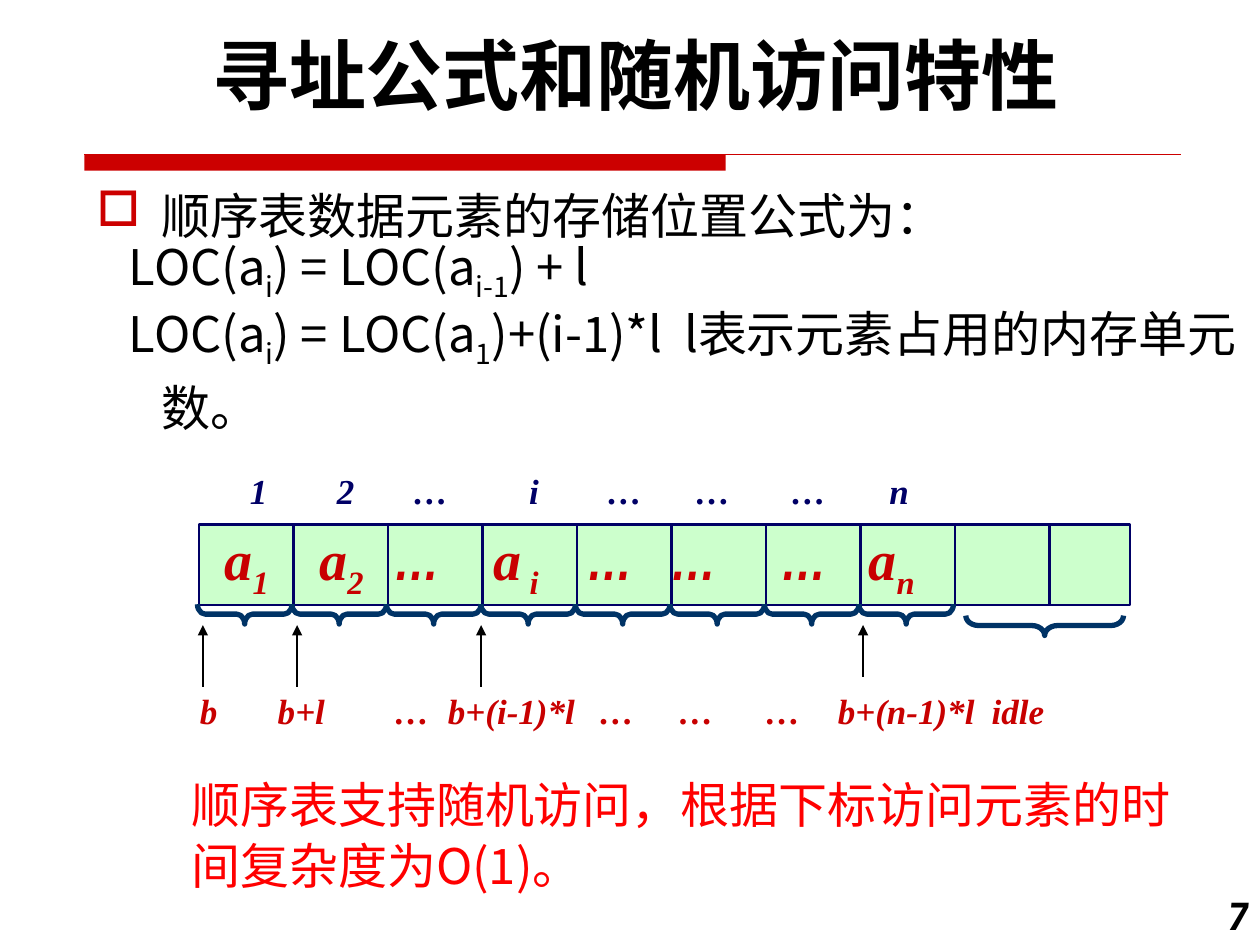
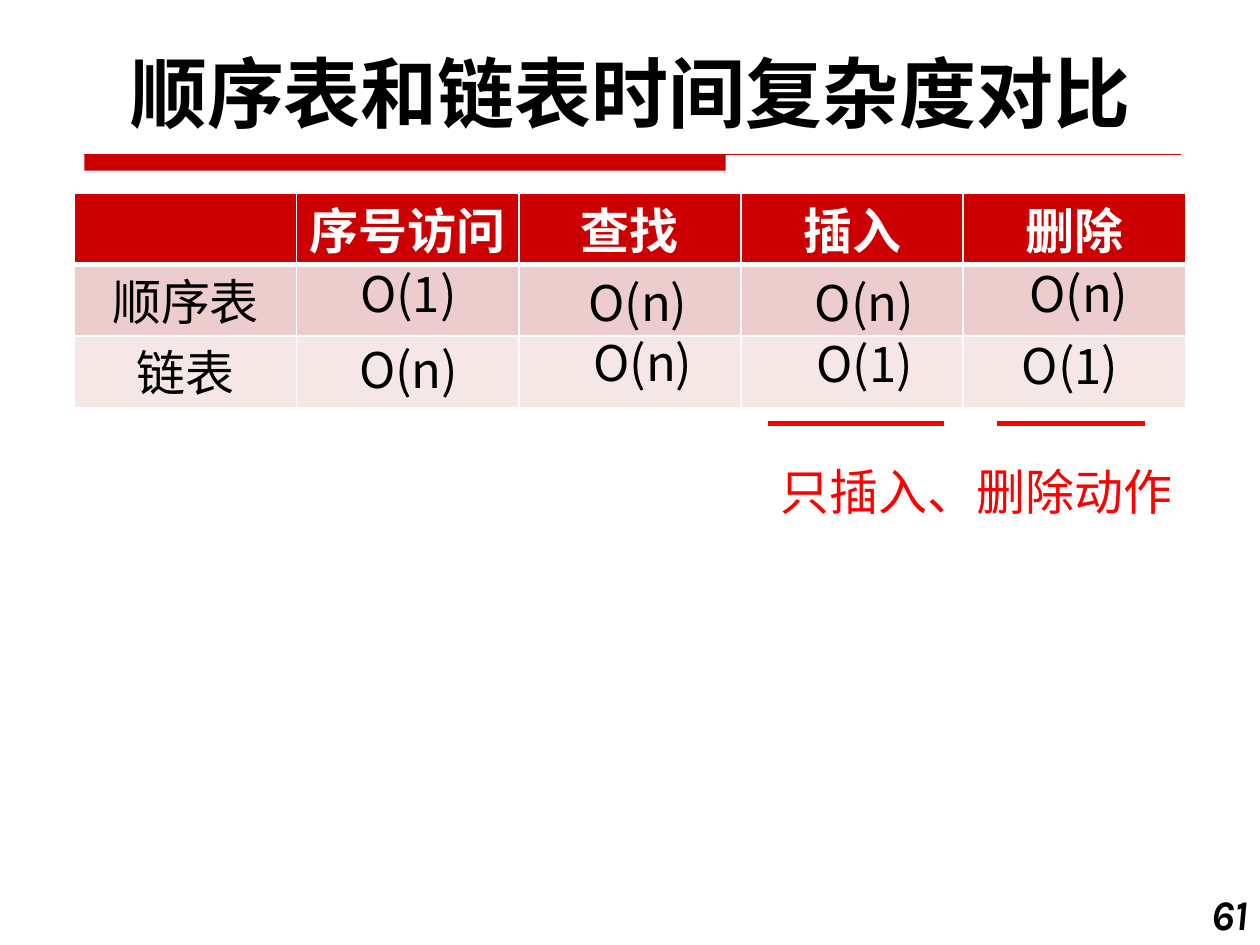
from dataclasses import dataclass

from lxml import etree
from pptx import Presentation
from pptx.dml.color import RGBColor
from pptx.enum.shapes import MSO_CONNECTOR, MSO_SHAPE
from pptx.enum.text import MSO_ANCHOR, PP_ALIGN
from pptx.oxml.ns import qn
from pptx.util import Cm, Pt

LEFT, MID, RIGHT = PP_ALIGN.LEFT, PP_ALIGN.CENTER, PP_ALIGN.RIGHT
TOP, CENTRE = MSO_ANCHOR.TOP, MSO_ANCHOR.MIDDLE
RECT, BRACE = MSO_SHAPE.RECTANGLE, MSO_SHAPE.LEFT_BRACE
STRAIGHT = MSO_CONNECTOR.STRAIGHT


@dataclass(frozen=True)
class Theme:
    black: str = "000000"
    white: str = "FFFFFF"
    band: str = "CC0000"
    red: str = "FF0000"
    deep: str = "C80000"
    navy: str = "000066"
    blue: str = "003366"
    mint: str = "CCFFCC"
    rows: tuple = ("CC0000", "ECCCCC", "F6E7E7")
    head: str = "Karla"
    body: str = "Noto Sans CJK SC"
    serif: str = "Times New Roman"
    narrow: str = "Arial Narrow"
    title: int = 44
    cell: int = 32
    main: int = 28
    page: int = 24
    label: int = 20


T = Theme()
TITLE = dict(name=T.head, size=T.title, color=T.black, bold=True)
PAGE = dict(name=T.head, size=T.page, color=T.black, bold=True, italic=True)
BODY = dict(name=T.body, size=T.main, color=T.black)
NOTE = dict(BODY, color=T.red)
INDEX = dict(name=T.serif, size=T.label, color=T.navy, bold=True, italic=True)
PLACE = dict(INDEX, color=T.deep)
ITEM = dict(PLACE, size=T.cell)
DOTS = dict(ITEM, name=T.narrow, color=T.band)
GRID = dict(name=T.serif, size=T.main, color=T.black)
HEAD = dict(GRID, color=T.white, bold=True)


def rgb(code):
    return RGBColor.from_string(code)


def node(parent, tag, **attrs):
    return etree.SubElement(parent, qn(tag), attrs)


class Deck:
    def __init__(self):
        self.prs = Presentation()
        self.prs.slide_width, self.prs.slide_height = Cm(25.4), Cm(19.05)
        self.slide = None

    # Frame shared by the slides
    def page(self, title, number, left, top):
        self.slide = self.prs.slides.add_slide(self.prs.slide_layouts[6])
        self.shape(RECT, (1.7, 3.12, 12.93, 0.32), fill=T.band)
        self.line((1.7, 3.12), (23.8, 3.12), T.band, 0.75)
        self.text((23.7, 17.78, 1.7, 1.27), [number], PAGE, RIGHT)
        self.text((left, top, 23.5, 2.13), [title], TITLE, MID, anchor=CENTRE)

    # Runs: text between underscores is lowered
    def runs(self, para, marked, style):
        for i, part in enumerate(marked.split("_")):
            if not part:
                continue
            run = para.add_run()
            run.text = part
            for key, val in style.items():
                if key == "color":
                    run.font.color.rgb = rgb(val)
                elif key == "size":
                    run.font.size = Pt(val)
                elif key != "gap":
                    setattr(run.font, key, val)
            props = run.font._element
            if "gap" in style:
                props.set("spc", str(style["gap"] * 100))
            if i % 2:
                props.set("baseline", "-25000")
            node(props, "a:ea", typeface=T.body)

    # A paragraph is a string or a list of (text, style) runs
    def fill(self, frame, paras, style, align=LEFT, pitch=None):
        for i, item in enumerate(paras):
            para = frame.paragraphs[0] if i == 0 else frame.add_paragraph()
            para.alignment = align
            if pitch:
                para.line_spacing = Pt(pitch)
            for part, look in [(item, style)] if isinstance(item, str) else item:
                self.runs(para, part, look)

    def text(self, at, paras, style, align=LEFT, pitch=None, anchor=TOP):
        box = self.slide.shapes.add_textbox(*map(Cm, at))
        box.text_frame.word_wrap = True
        box.text_frame.vertical_anchor = anchor
        self.fill(box.text_frame, paras, style, align, pitch)
        return box.text_frame

    def tabs(self, frame, stops):
        props = frame.paragraphs[0]._p.get_or_add_pPr()
        tabs = node(props, "a:tabLst")
        for stop in stops:
            node(tabs, "a:tab", pos=str(Cm(stop)), algn="l")

    def shape(self, kind, at, fill=None, line=None, width=1.5):
        item = self.slide.shapes.add_shape(kind, *map(Cm, at))
        item.shadow.inherit = False
        if fill:
            item.fill.solid()
            item.fill.fore_color.rgb = rgb(fill)
        else:
            item.fill.background()
        if line:
            item.line.color.rgb = rgb(line)
            item.line.width = Pt(width)
        else:
            item.line.fill.background()
        return item

    def brace(self, mid, y, span, bend):
        item = self.shape(BRACE, (mid - 0.2, y - span / 2, 0.4, span),
                          line=T.blue, width=3)
        item.rotation = 270
        item.adjustments[0], item.adjustments[1] = bend, 0.5

    def line(self, start, end, color, width, arrow=False):
        item = self.slide.shapes.add_connector(STRAIGHT, *map(Cm, start + end))
        item.line.color.rgb = rgb(color)
        item.line.width = Pt(width)
        if arrow:
            node(item.line._get_or_add_ln(), "a:tailEnd", type="triangle")
        node(item._element.spPr, "a:effectLst")

    def table(self, at, rows):
        grid = self.slide.shapes.add_table(len(rows), len(rows[0]), *map(Cm, at)).table
        for r, row in enumerate(rows):
            for c, word in enumerate(row):
                cell = grid.cell(r, c)
                cell.margin_top, cell.margin_bottom = Cm(0.25), 0
                props = cell._tc.get_or_add_tcPr()
                for side in "LRTB":
                    thick = 3 if (r, side) in ((0, "B"), (1, "T")) else 1
                    edge = node(props, f"a:ln{side}", w=str(Pt(thick)))
                    node(node(edge, "a:solidFill"), "a:srgbClr", val=T.white)
                cell.fill.solid()
                cell.fill.fore_color.rgb = rgb(T.rows[r])
                if word:
                    self.fill(cell.text_frame, [word], GRID if r else HEAD, MID, 33)


def access(deck):
    deck.page("寻址公式和随机访问特性", "7", 1.07, 0.43)

    # Address formula
    frame = deck.text((1.7, 3.4, 24.33, 11), [
        "顺序表数据元素的存储位置公式为：",
        "LOC(a_i_) = LOC(a_i-1_) + l",
        [("LOC(a_i_) = LOC(a_1_)+(i-1)*l", BODY), (" ", dict(BODY, gap=6)),
         ("l表示元素占用的内存单元数。", BODY)],
    ], BODY)
    for para, pitch, hang in zip(frame.paragraphs, (39.5, 34, 38), (1.3, 0.65, 0.65)):
        para.line_spacing = Pt(pitch)
        props = para._p.get_or_add_pPr()
        props.set("marL", str(Cm(1.3)))
        props.set("indent", str(-Cm(hang)))
    props = frame.paragraphs[0]._p.get_or_add_pPr()
    node(node(props, "a:buClr"), "a:srgbClr", val=T.band)
    node(props, "a:buChar", char="□")

    # Storage cells
    left, top, high, step = 4.01, 10.57, 1.63, 7.62 / 4
    strip = deck.shape(RECT, (left, top, 18.77, high), T.mint, T.navy)
    frame = strip.text_frame
    frame.word_wrap = True
    frame.margin_top = 0
    frame.vertical_anchor = TOP
    names = ["a_1_", "a_2_", "…", "a_ i_", "…", "…", "…", "a_n_"]
    deck.fill(frame, [[("\t" + n, DOTS if n == "…" else ITEM) for n in names]], ITEM)
    deck.tabs(frame, (0.27, 2.18, 3.68, 5.69, 7.57, 9.26, 11.48, 13.25))
    for k in range(1, 10):
        x = left + k * step
        deck.line((x, top), (x, top + high), T.navy, 1.5)

    # Index and address labels
    rows = (
        ((4.22, 8.92, 15.04, 1.6), INDEX, 32, "1 2 … i … … … n",
         (0.57, 2.32, 3.86, 6.2, 7.77, 9.55, 11.48, 13.46)),
        ((2.82, 13.21, 19.48, 1.78), PLACE, 36,
         "b b+l … b+(i-1)*l … … … b+(n-1)*l idle",
         (0.96, 2.53, 4.88, 5.96, 9.01, 10.61, 12.36, 13.82, 16.92)),
    )
    for at, style, lead, words, stops in rows:
        first = ("\t", dict(style, size=lead))
        frame = deck.text(at, [[first, ("\t".join(words.split()), style)]], style)
        deck.tabs(frame, stops)

    # Braces and arrows
    for k in range(8):
        deck.brace(left + (k + 0.5) * step - 0.03, 12.38, step, 0.39)
    deck.brace(21.06, 12.61, 3.18, 0.65)
    for x, foot in ((4.09, 13.84), (5.99, 13.84), (9.7, 13.84), (17.4, 13.64)):
        deck.line((x, foot), (x, 12.6), T.black, 0.75, arrow=True)

    deck.text((3.61, 15.44, 20.5, 2.64),
              ["顺序表支持随机访问，根据下标访问元素的时间复杂度为O(1)。"], NOTE, pitch=35)


def compare(deck):
    deck.page("顺序表和链表时间复杂度对比", "61", 0.97, 0.79)
    deck.table((1.5, 3.89, 22.4, 4.32), [
        ["", "序号访问", "查找", "插入", "删除"],
        ["顺序表", "", "", "", ""],
        ["链表", "", "", "", ""],
    ])

    # Costs laid over the table
    costs = (
        ("O(1)", 7.01, 5.13), ("O(n)", 11.61, 5.33),
        ("O(n)", 16.18, 5.31), ("O(n)", 20.5, 5.13),
        ("O(n)", 6.99, 6.68), ("O(n)", 11.71, 6.53),
        ("O(1)", 16.21, 6.55), ("O(1)", 20.35, 6.58),
    )
    for cost, x, y in costs:
        deck.text((x, y, 2.79, 1.45), [cost], BODY, pitch=35)

    # Remark on the last two columns
    for x, end in ((15.49, 19.02), (20.09, 23.09)):
        deck.line((x, 8.53), (end, 8.53), T.red, 3)
    deck.text((15.49, 9.12, 9.19, 1.45), ["只插入、删除动作"], NOTE, pitch=35)


def main():
    deck = Deck()
    access(deck)
    compare(deck)
    deck.prs.save("out.pptx")


if __name__ == "__main__":
    main()
